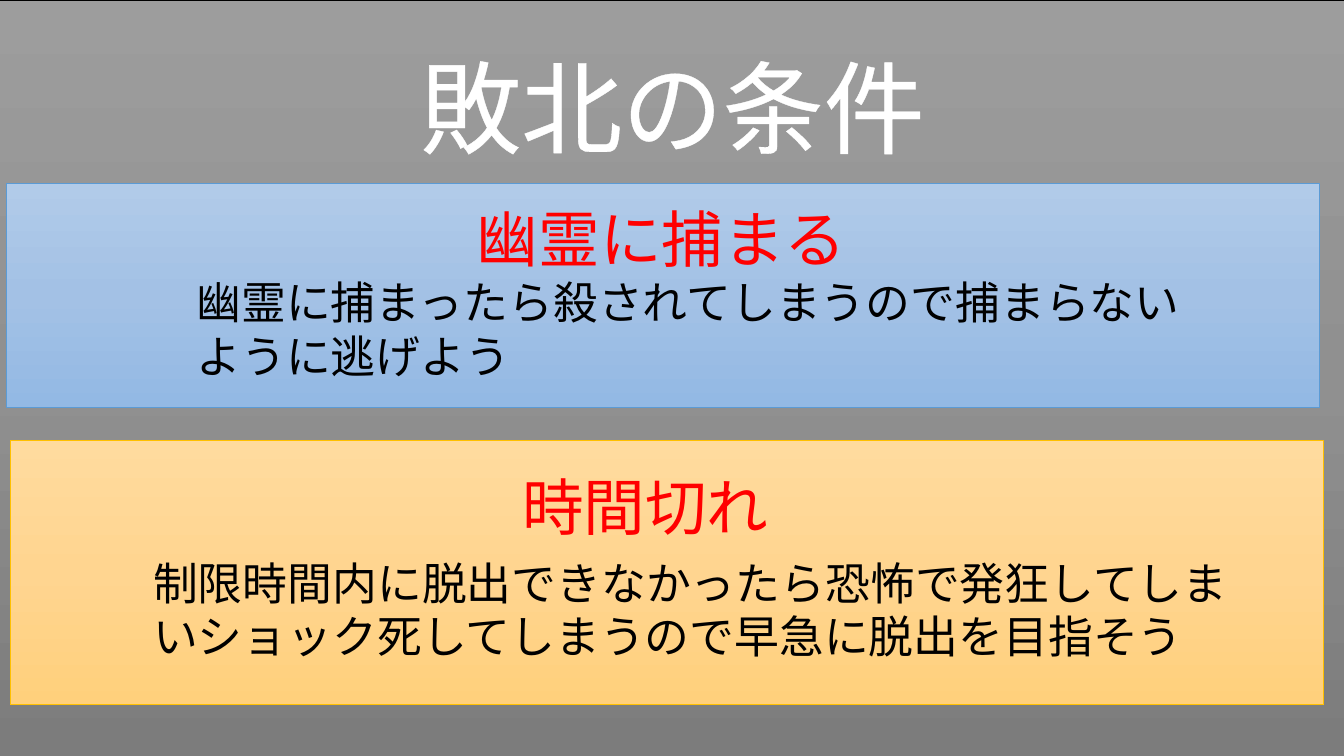
import copy
from dataclasses import dataclass

import pptx
import pptx.dml.color
import pptx.enum.shapes
import pptx.enum.text
import pptx.oxml.ns
import pptx.util
from lxml import etree
from pptx.util import Inches

RGB = pptx.dml.color.RGBColor.from_string
ALIGN = pptx.enum.text.PP_ALIGN
ANCHOR = pptx.enum.text.MSO_ANCHOR


@dataclass(frozen=True)
class Theme:
    font: str = "Noto Sans CJK JP"
    title_size: int = 72
    heading_size: int = 44
    body_size: int = 32
    outline_width: float = 0.75
    panel_line_width: float = 0.5
    white: str = "FFFFFF"
    black: str = "000000"
    red: str = "FF0000"
    blue_line: str = "5B9BD5"
    gold_line: str = "FFC000"
    gray_gradient: tuple = ("9D9D9D", "909090", "7C7C7C")
    blue_gradient: tuple = ("B1CBE9", "A3C1E5", "93B9E4")
    gold_gradient: tuple = ("FFDB9E", "FFD590", "FFD07C")


theme = Theme()
prs = pptx.Presentation()
prs.slide_width, prs.slide_height = Inches(13.33), Inches(7.5)
slide = prs.slides.add_slide(prs.slide_layouts[5])


def write_text(shape, text, *, size, color, align=ALIGN.LEFT, outline=None):
    """Fill a shape with one formatted run; outline is the letters' edge colour."""
    frame = shape.text_frame
    frame.word_wrap = True
    paragraph = frame.paragraphs[0]
    paragraph.alignment = align
    run = paragraph.add_run()
    run.text = text
    run.font.size = pptx.util.Pt(size)
    run.font.name = theme.font
    run.font.color.rgb = RGB(color)
    properties = run.font._element
    qn = pptx.oxml.ns.qn
    etree.SubElement(properties, qn("a:ea"), typeface=theme.font)
    if outline:
        edge = etree.Element(qn("a:ln"), w=str(pptx.util.Pt(theme.outline_width)))
        edge_fill = etree.SubElement(edge, qn("a:solidFill"))
        etree.SubElement(edge_fill, qn("a:srgbClr"), val=outline)
        properties.insert(0, edge)


def add_panel(box, gradient, line):
    """Add a rectangle with an even, top-to-bottom gradient."""
    panel = slide.shapes.add_shape(
        pptx.enum.shapes.MSO_SHAPE.RECTANGLE, *map(Inches, box))
    panel.shadow.inherit = False
    panel.line.color.rgb = RGB(line)
    panel.line.width = pptx.util.Pt(theme.panel_line_width)
    panel.fill.gradient()
    panel.fill.gradient_angle = 270
    first_stop = panel.fill.gradient_stops[0]._gs
    for _ in gradient[2:]:
        first_stop.addnext(copy.deepcopy(first_stop))
    for i, (stop, color) in enumerate(zip(panel.fill.gradient_stops, gradient)):
        stop.position = i / (len(gradient) - 1)
        stop.color.rgb = RGB(color)
    return panel


# Backdrop and title
title = slide.shapes.title
backdrop = add_panel((-0.1, 0, 13.44, 7.5), theme.gray_gradient, theme.black)
title._element.addprevious(backdrop._element)
title.left, title.top = Inches(0.92), Inches(0.4)
title.width, title.height = Inches(11.5), Inches(1.45)
title.text_frame.vertical_anchor = ANCHOR.MIDDLE
write_text(title, "敗北の条件", size=theme.title_size, color=theme.white,
           align=ALIGN.CENTER, outline=theme.white)
title.text_frame.paragraphs[0].line_spacing = 0.9

# Ways to lose: panel, then heading and explanation as (box, text)
conditions = [
    ((0.06, 1.82, 13.03, 2.22), theme.blue_gradient, theme.blue_line, ALIGN.CENTER,
     ((0.47, 1.94, 12.19, 0.84), "幽霊に捕まる"),
     ((1.85, 2.68, 10.14, 1.18),
      "幽霊に捕まったら殺されてしまうので捕まらないように逃げよう")),
    ((0.1, 4.37, 13.03, 2.62), theme.gold_gradient, theme.gold_line, ALIGN.LEFT,
     ((5.08, 4.6, 5.65, 0.84), "時間切れ"),
     ((1.42, 5.46, 11, 1.18),
      "制限時間内に脱出できなかったら恐怖で発狂してしまい"
      "ショック死してしまうので早急に脱出を目指そう")),
]
for panel_box, gradient, line, heading_align, heading, explanation in conditions:
    add_panel(panel_box, gradient, line)
    for (box, text), style in (
        (heading, dict(size=theme.heading_size, color=theme.red,
                       align=heading_align, outline=theme.black)),
        (explanation, dict(size=theme.body_size, color=theme.black)),
    ):
        caption = slide.shapes.add_textbox(*map(Inches, box))
        write_text(caption, text, **style)
        caption.text_frame.auto_size = pptx.enum.text.MSO_AUTO_SIZE.SHAPE_TO_FIT_TEXT

prs.save("out.pptx")
